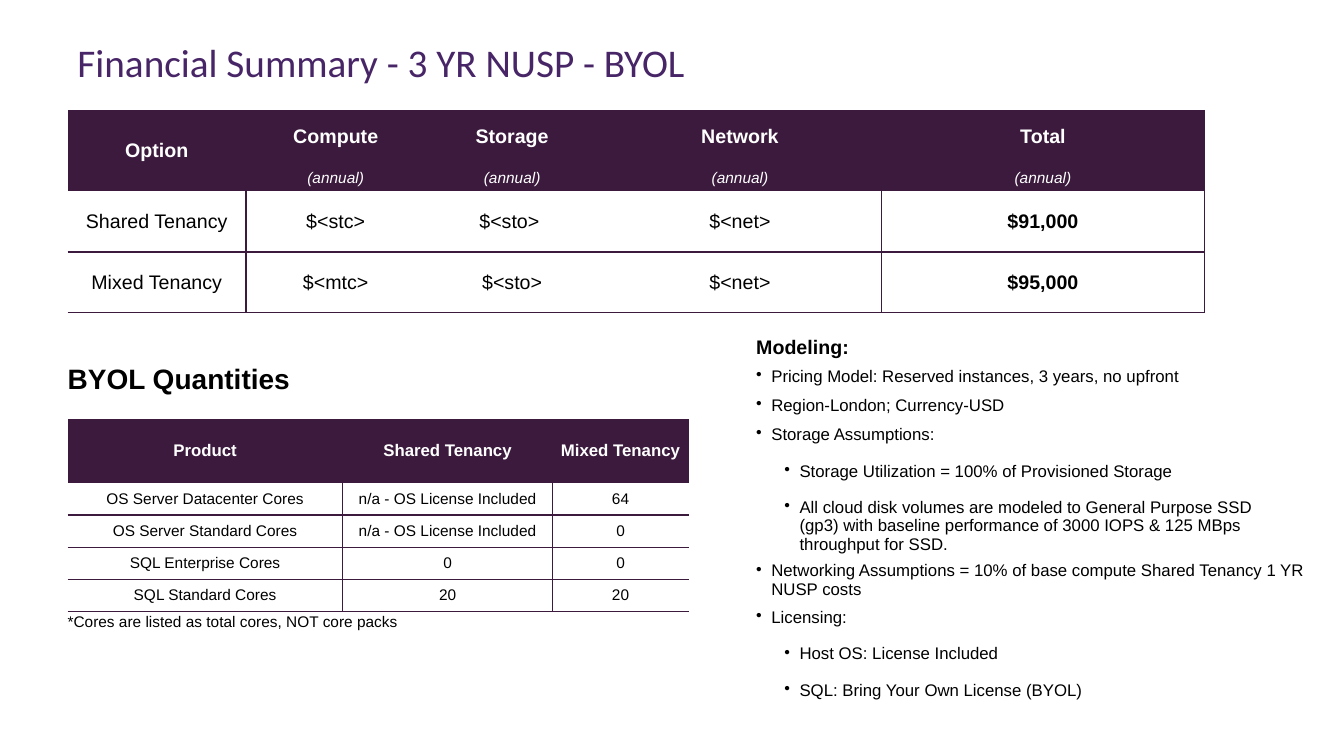
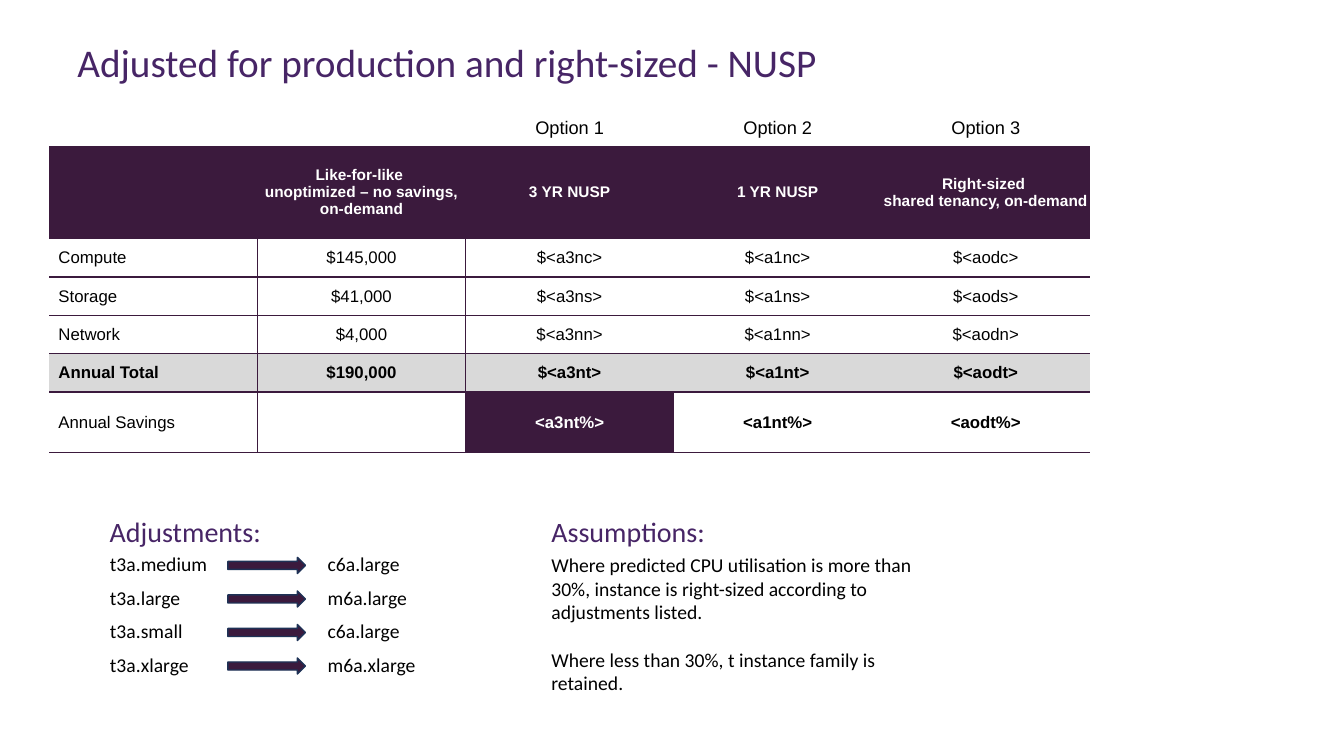
from lxml import etree
from pptx import Presentation
from pptx.dml.color import RGBColor
from pptx.enum.shapes import MSO_SHAPE
from pptx.enum.text import MSO_ANCHOR, PP_ALIGN
from pptx.oxml.ns import qn
from pptx.util import Inches, Pt

COLORS = {
    "plum": "3B1A3D",
    "title": "472566",
    "black": "000000",
    "white": "FFFFFF",
    "grey": "D9D9D9",
    "navy": "1E3256",
}
NO_GRID_STYLE = "{2D5ABB26-0587-4C30-8999-92F81FD0307C}"
LEFT, CENTER = PP_ALIGN.LEFT, PP_ALIGN.CENTER

# Row styles: text format, cell fill, and whether the row is ruled
ROW_STYLES = {
    "head14": dict(text=dict(size=14, color="white", bold=True), fill="plum"),
    "head12": dict(text=dict(size=12, color="white", bold=True), fill="plum"),
    "head11": dict(text=dict(size=11, color="white", bold=True), fill="plum"),
    "unit": dict(text=dict(size=11, color="white", italic=True), fill="plum"),
    "body14": dict(text=dict(size=14), ruled=True),
    "body12": dict(text=dict(size=12), ruled=True),
    "body11": dict(text=dict(size=11), ruled=True),
    "total": dict(text=dict(size=12, bold=True), fill="grey", ruled=True),
    "label": dict(text=dict(size=13)),
    "heading": dict(text=dict(size=20, bold=True, align=LEFT)),
    "spacer": dict(text=dict(size=8)),
    "note": dict(text=dict(size=11, align=LEFT)),
    "list_head": dict(text=dict(size=14, bold=True, align=LEFT)),
    "list": dict(text=dict(size=12, align=LEFT)),
    "instance": dict(text=dict(size=14, font="Calibri", align=LEFT)),
}


def write(tf, text, size, color="black", bold=False, italic=False, font="Arial", align=CENTER):
    tf.text = text
    for p in tf.paragraphs:
        p.alignment = align
        if not p.runs:
            # An empty cell must not force its row taller
            etree.SubElement(p._p, qn("a:endParaRPr"), sz=str(size * 100))
        for r in p.runs:
            r.font.name = font
            r.font.size = Pt(size)
            r.font.bold = bold
            r.font.italic = italic
            r.font.color.rgb = RGBColor.from_string(COLORS[color])


def add_grid(s, left, top, widths, rows, dividers=()):
    """Add a table from (height, style, texts) rows; dividers are columns ruled on the right."""
    height = sum(row[0] for row in rows)
    frame = s.shapes.add_table(len(rows), len(widths), Inches(left), Inches(top),
                               Inches(sum(widths)), Inches(height))
    table = frame.table
    table.first_row = table.horz_banding = False
    table._tbl.tblPr.find(qn("a:tableStyleId")).text = NO_GRID_STYLE
    for column, width in zip(table.columns, widths):
        column.width = Inches(width)
    for i, (height, style_name, texts) in enumerate(rows):
        style = ROW_STYLES[style_name]
        table.rows[i].height = Inches(height)
        for j, text in enumerate(texts):
            cell = table.cell(i, j)
            cell.margin_left = cell.margin_right = cell.margin_top = cell.margin_bottom = 0
            cell.vertical_anchor = MSO_ANCHOR.MIDDLE
            write(cell.text_frame, text, **style["text"])
            if "fill" in style:
                cell.fill.solid()
                cell.fill.fore_color.rgb = RGBColor.from_string(COLORS[style["fill"]])
            else:
                cell.fill.background()
            if style.get("ruled"):
                sides = ["a:lnR", "a:lnB"] if j in dividers else ["a:lnB"]
                for k, side in enumerate(sides):
                    ln = etree.Element(qn(side), w=str(Pt(1)))
                    fill = etree.SubElement(ln, qn("a:solidFill"))
                    etree.SubElement(fill, qn("a:srgbClr"), val=COLORS["plum"])
                    cell._tc.get_or_add_tcPr().insert(k, ln)
    return table


prs = Presentation()
prs.slide_width, prs.slide_height = Inches(13.33), Inches(7.5)
blank = prs.slide_layouts[6]

# Slide 1: financial summary
summary = prs.slides.add_slide(blank)

costs = add_grid(summary, 0.67, 1.09, [1.77, 1.78, 1.72, 2.8, 3.21], [
    (0.54, "head14", ["Option", "Compute", "Storage", "Network", "Total"]),
    (0.27, "unit", [""] + ["(annual)"] * 4),
    (0.6, "body14", ["Shared Tenancy", "$<stc>", "$<sto> ", "$<net>", "$91,000"]),
    (0.6, "body14", ["Mixed Tenancy", "$<mtc>", "$<sto>", "$<net>", "$95,000"]),
], dividers=(0, 3, 4))
costs.cell(0, 0).merge(costs.cell(1, 0))
for i in (2, 3):
    costs.cell(i, 4).text_frame.paragraphs[0].runs[0].font.bold = True

quantities = add_grid(summary, 0.67, 3.54, [2.73, 2.08, 1.35], [
    (0.45, "heading", ["BYOL Quantities", "", ""]),
    (0.17, "spacer", ["", "", ""]),
    (0.63, "head12", ["Product", "Shared Tenancy", "Mixed Tenancy"]),
    (0.32, "body11", ["OS Server Datacenter Cores", "n/a - OS License Included", "64"]),
    (0.32, "body11", ["OS Server Standard Cores", "n/a - OS License Included", "0"]),
    (0.32, "body11", ["SQL Enterprise Cores", "0", "0"]),
    (0.32, "body11", ["SQL Standard Cores", "20", "20"]),
    (0.21, "note", ["*Cores are listed as total cores, NOT core packs", "", ""]),
], dividers=(0, 1))
for i in (0, 7):
    quantities.cell(i, 0).merge(quantities.cell(i, 2))

# (row height, level, text)
MODELING = [
    (0.29, 0, "Pricing Model: Reserved instances, 3 years, no upfront"),
    (0.29, 0, "Region-London; Currency-USD"),
    (0.29, 0, "Storage Assumptions:"),
    (0.44, 1, "Storage Utilization = 100% of Provisioned Storage"),
    (0.64, 1, "All cloud disk volumes are modeled to General Purpose SSD\v"
              "(gp3) with baseline performance of 3000 IOPS & 125 MBps\v"
              "throughput for SSD."),
    (0.44, 0, "Networking Assumptions = 10% of base compute Shared Tenancy 1 YR NUSP costs"),
    (0.29, 0, "Licensing:"),
    (0.44, 1, "Host OS: License Included"),
    (0.29, 1, "SQL: Bring Your Own License (BYOL)"),
]
modeling = add_grid(summary, 7.5, 3.3, [5.54],
                    [(0.29, "list_head", ["Modeling:"])]
                    + [(height, "list", [text]) for height, level, text in MODELING])
for i, (height, level, text) in enumerate(MODELING, start=1):
    cell = modeling.cell(i, 0)
    cell.margin_left = Inches(0.28 * level)
    pPr = cell.text_frame.paragraphs[0]._p.get_or_add_pPr()
    pPr.set("marL", str(Inches(0.15)))
    pPr.set("indent", str(-Inches(0.15)))
    etree.SubElement(pPr, qn("a:buChar"), char="•")

# Slide 2: right-sized options
options = prs.slides.add_slide(blank)

savings = add_grid(options, 0.49, 1.1, [10.32 / 5] * 5, [
    (0.35, "label", ["", "", "Option 1", "Option 2", "Option 3"]),
    (0.18, "head11", [""] * 5),
    (0.53, "head11", ["", "Like-for-like \nunoptimized – no savings, on-demand", "3 YR NUSP",
                      "1 YR NUSP", "Right-sized \nshared tenancy, on-demand"]),
    (0.18, "head11", [""] * 5),
    (0.38, "body12", ["Compute", "$145,000", "$<a3nc>", "$<a1nc>", "$<aodc>"]),
    (0.38, "body12", ["Storage", "$41,000", "$<a3ns>", "$<a1ns>", "$<aods>"]),
    (0.38, "body12", ["Network", "$4,000", "$<a3nn>", "$<a1nn>", "$<aodn>"]),
    (0.38, "total", ["Annual Total", "$190,000", "$<a3nt>", "$<a1nt>", "$<aodt>"]),
    (0.6, "body12", ["Annual Savings", "", "<a3nt%>", "<a1nt%>", "<aodt%>"]),
], dividers=(0, 1))
savings.cell(1, 0).merge(savings.cell(3, 0))
for i in range(4, 9):
    cell = savings.cell(i, 0)
    cell.margin_left = Inches(0.09)
    cell.text_frame.paragraphs[0].alignment = LEFT
for j in (2, 3, 4):
    savings.cell(8, j).text_frame.paragraphs[0].runs[0].font.bold = True
best = savings.cell(8, 2)
best.fill.solid()
best.fill.fore_color.rgb = RGBColor.from_string(COLORS["plum"])
best.text_frame.paragraphs[0].runs[0].font.color.rgb = RGBColor.from_string(COLORS["white"])

ADJUSTMENTS = [
    ("t3a.medium", "c6a.large"),
    ("t3a.large", "m6a.large"),
    ("t3a.small", "c6a.large"),
    ("t3a.xlarge", "m6a.xlarge"),
]
ROW_STEP = 1.33 / len(ADJUSTMENTS)
instances = add_grid(options, 0.99, 5.44, [1.29, 0.87, 1.21],
                     [(ROW_STEP, "instance", [old, "", new]) for old, new in ADJUSTMENTS])
for i in range(len(ADJUSTMENTS)):
    for j in (0, 2):
        instances.cell(i, j).margin_left = Inches(0.1)
    arrow = options.shapes.add_shape(MSO_SHAPE.RIGHT_ARROW, Inches(2.26),
                                     Inches(5.53 + i * ROW_STEP), Inches(0.77), Inches(0.16))
    arrow.shadow.inherit = False
    arrow.fill.solid()
    arrow.fill.fore_color.rgb = RGBColor.from_string(COLORS["plum"])
    arrow.line.color.rgb = RGBColor.from_string(COLORS["navy"])
    arrow.line.width = Pt(1)

# Titles, headings and running text
TITLE_BOX = (0.67, 0.35, 12.2, 0.59)
ASSUMPTIONS = ("Where predicted CPU utilisation is more than 30%, instance is right-sized "
               "according to adjustments listed.\n"
               "Where less than 30%, t instance family is retained.")
for s, box, text, size, color in [
    (summary, TITLE_BOX, "Financial Summary - 3 YR NUSP - BYOL", 28, "title"),
    (options, TITLE_BOX, "Adjusted for production and right-sized - NUSP", 28, "title"),
    (options, (0.99, 5.06, 3.37, 0.64), "Adjustments:", 20, "title"),
    (options, (5.37, 5.06, 3.37, 0.64), "Assumptions:", 20, "title"),
    (options, (5.37, 5.44, 4.05, 1.51), ASSUMPTIONS, 14, "black"),
]:
    tf = s.shapes.add_textbox(*map(Inches, box)).text_frame
    tf.word_wrap = True
    write(tf, text, size, color, font="Calibri", align=LEFT)
    if box == TITLE_BOX:
        tf.vertical_anchor = MSO_ANCHOR.MIDDLE
        tf.paragraphs[0].line_spacing = 0.9
    for p in tf.paragraphs[1:]:
        p.space_before = Pt(17)

prs.save("out.pptx")
